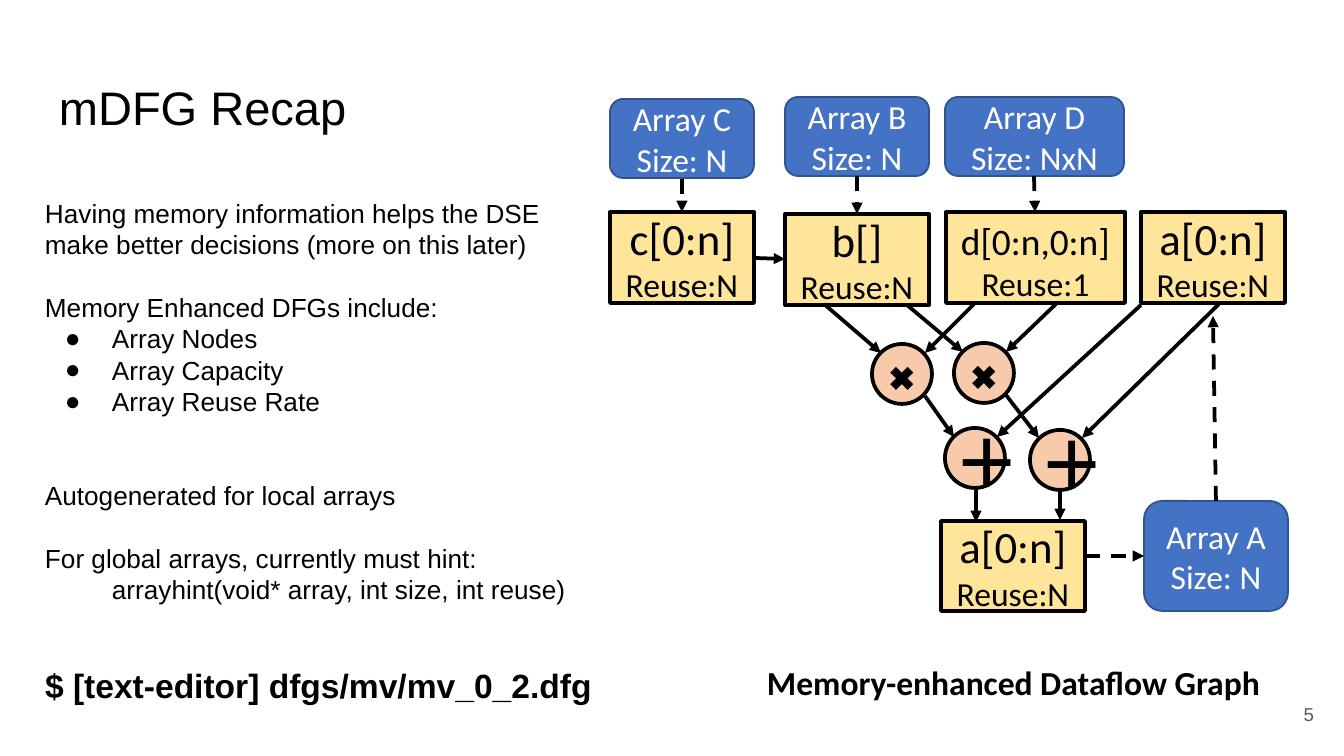
import pptx
import pptx.util
import pptx.dml.color
import pptx.enum.dml
import pptx.enum.shapes
import pptx.enum.text
import pptx.oxml.ns
from lxml import etree

Pt = pptx.util.Pt
qn = pptx.oxml.ns.qn
KIND = pptx.enum.shapes.MSO_SHAPE
ALIGN = pptx.enum.text.PP_ALIGN
ANCHOR = pptx.enum.text.MSO_ANCHOR


class Theme:
    sans, node = "Arial", "Calibri"
    ink, white, grey = "000000", "FFFFFF", "595959"
    blue, navy = "4472C4", "31538F"
    cream, peach = "FEE599", "F7CAAC"
    title, body, page = 25.2, 14, 10
    label, big, mid, plus = 18, 24, 20, 36
    gap = 16.8
    thin, thick = 1, 2


def px(n):
    return round(n * 914400 / 134.4)


def rgb(code):
    return pptx.dml.color.RGBColor.from_string(code)


def style(para, size, font, color=Theme.ink, bold=False, align=None):
    para.alignment = align
    for run in para.runs:
        run.font.size = Pt(size)
        run.font.name = font
        run.font.bold = bold
        run.font.color.rgb = rgb(color)


def frame(shape, pads, anchor):
    tf = shape.text_frame
    tf.word_wrap = True
    tf.vertical_anchor = anchor
    tf.margin_left, tf.margin_top, tf.margin_right, tf.margin_bottom = map(px, pads)
    return tf


def text(slide, box, words, size, font, pad=13, anchor=ANCHOR.TOP, **look):
    tf = frame(slide.shapes.add_textbox(*map(px, box)), (13, pad, 13, pad), anchor)
    tf.text = words
    for para in tf.paragraphs:
        style(para, size, font, **look)
    return tf


def node(slide, kind, box, lines, fill, edge, width, color=Theme.ink,
         bold=False, pads=(13, 7, 13, 7)):
    shape = slide.shapes.add_shape(kind, *map(px, box))
    shape.shadow.inherit = False
    shape.fill.solid()
    shape.fill.fore_color.rgb = rgb(fill)
    shape.line.color.rgb = rgb(edge)
    shape.line.width = Pt(width)
    tf = frame(shape, pads, ANCHOR.MIDDLE)
    tf.text = "\n".join(words for words, size in lines)
    for para, (words, size) in zip(tf.paragraphs, lines):
        style(para, size, Theme.node, color, bold, ALIGN.CENTER)


def array(slide, box, name, size):
    lines = [(name, Theme.label), (size, Theme.label)]
    node(slide, KIND.ROUNDED_RECTANGLE, box, lines, Theme.blue, Theme.navy,
         Theme.thin, Theme.white)


def stream(slide, box, name, reuse, size=Theme.big, top=7):
    lines = [(name, size), (reuse, Theme.label)]
    node(slide, KIND.RECTANGLE, box, lines, Theme.cream, Theme.ink,
         Theme.thick, pads=(13, top, 13, 7))


def op(slide, left, top, sign, size, bold):
    node(slide, KIND.OVAL, (left, top, 60, 60), [(sign, size)], Theme.peach,
         Theme.ink, Theme.thick, bold=bold, pads=(0, 7, 0, 0))


def arrow(slide, ends, dash=False):
    line = slide.shapes.add_connector(
        pptx.enum.shapes.MSO_CONNECTOR.STRAIGHT, *map(px, ends))
    line.line.color.rgb = rgb(Theme.ink)
    line.line.width = Pt(Theme.thick)
    if dash:
        line.line.dash_style = pptx.enum.dml.MSO_LINE.DASH
    props = line.element.spPr
    etree.SubElement(props.find(qn("a:ln")), qn("a:tailEnd"), type="triangle")
    etree.SubElement(props, qn("a:effectLst"))


def indent(para, left, first):
    props = para._p.get_or_add_pPr()
    props.set("marL", str(px(left)))
    props.set("indent", str(px(first)))
    return props


def bullet(para):
    props = indent(para, 67, -47)
    tint = etree.SubElement(props, qn("a:buClr"))
    etree.SubElement(tint, qn("a:srgbClr"), val=Theme.ink)
    etree.SubElement(props, qn("a:buFont"), typeface=Theme.sans)
    etree.SubElement(props, qn("a:buChar"), char="●")


def notes(slide):
    # Each row: wording, blank lines above, kind
    rows = [
        ("Having memory information helps the DSE make better decisions "
         "(more on this later)", 0, "plain"),
        ("Memory Enhanced DFGs include:", 1, "plain"),
        ("Array Nodes", 0, "bullet"),
        ("Array Capacity", 0, "bullet"),
        ("Array Reuse Rate", 0, "bullet"),
        ("Autogenerated for local arrays", 2, "plain"),
        ("For global arrays, currently must hint:", 1, "plain"),
        ("arrayhint(void* array, int size, int reuse)", 0, "code"),
    ]
    tf = text(slide, (32, 184, 559, 440), "\n".join(row[0] for row in rows),
              Theme.body, Theme.sans)
    for para, (words, gaps, kind) in zip(tf.paragraphs, rows):
        para.space_before = Pt(gaps * Theme.gap)
        if kind == "bullet":
            bullet(para)
        elif kind == "code":
            indent(para, 0, 67)


def graph(slide):
    # Memory arrays
    for box, name, size in [
        ((1144, 501, 144, 110), "Array A", "Size: N"),
        ((785, 97, 144, 79), "Array B", "Size: N"),
        ((610, 99, 144, 79), "Array C", "Size: N"),
        ((945, 97, 179, 79), "Array D", "Size: NxN"),
    ]:
        array(slide, box, name, size)

    # Streams
    stream(slide, (610, 212, 144, 91), "c[0:n]", "Reuse:N")
    stream(slide, (785, 214, 144, 91), "b[]", "Reuse:N")
    stream(slide, (946, 212, 179, 91), "d[0:n,0:n]", "Reuse:1", Theme.mid, 13)
    stream(slide, (1141, 212, 144, 91), "a[0:n]", "Reuse:N")
    stream(slide, (941, 521, 144, 90), "a[0:n]", "Reuse:N")

    # Operators
    for left, top in [(872, 344), (954, 343)]:
        op(slide, left, top, "✖️", Theme.label, False)
    for left, top in [(945, 428), (1030, 430)]:
        op(slide, left, top, "＋", Theme.plus, True)

    # Data flow
    for ends in [
        (754, 258, 785, 259), (824, 304, 881, 353), (974, 304, 925, 353),
        (907, 305, 963, 352), (1056, 304, 1006, 352), (925, 396, 954, 437),
        (1006, 395, 1039, 438), (1141, 305, 997, 437), (1219, 304, 1082, 438),
        (976, 488, 976, 522), (1060, 490, 1060, 520),
    ]:
        arrow(slide, ends)

    # Memory traffic
    for ends in [
        (682, 179, 682, 212), (857, 176, 857, 214), (1034, 176, 1035, 212),
        (1085, 556, 1144, 556), (1216, 501, 1213, 316),
    ]:
        arrow(slide, ends, dash=True)


def main():
    deck = pptx.Presentation()
    deck.slide_width, deck.slide_height = px(1344), px(756)
    slide = deck.slides.add_slide(deck.slide_layouts[6])

    # Title and left column
    text(slide, (46, 66, 1253, 85), "mDFG Recap", Theme.title, Theme.sans)
    notes(slide)
    shell = text(slide, (32, 646, 618, 73), "$ [text-editor] dfgs/mv/mv_0_2.dfg",
                 Theme.label, Theme.sans, bold=True)
    shell.paragraphs[0].line_spacing = 1.15

    # Diagram, caption and page number
    graph(slide)
    text(slide, (754, 655, 527, 54), "Memory-enhanced Dataflow Graph",
         Theme.label, Theme.node, pad=7, bold=True)
    text(slide, (1246, 685, 81, 58), "5", Theme.page, Theme.sans,
         anchor=ANCHOR.MIDDLE, color=Theme.grey, align=ALIGN.RIGHT)
    deck.save("out.pptx")


main()
